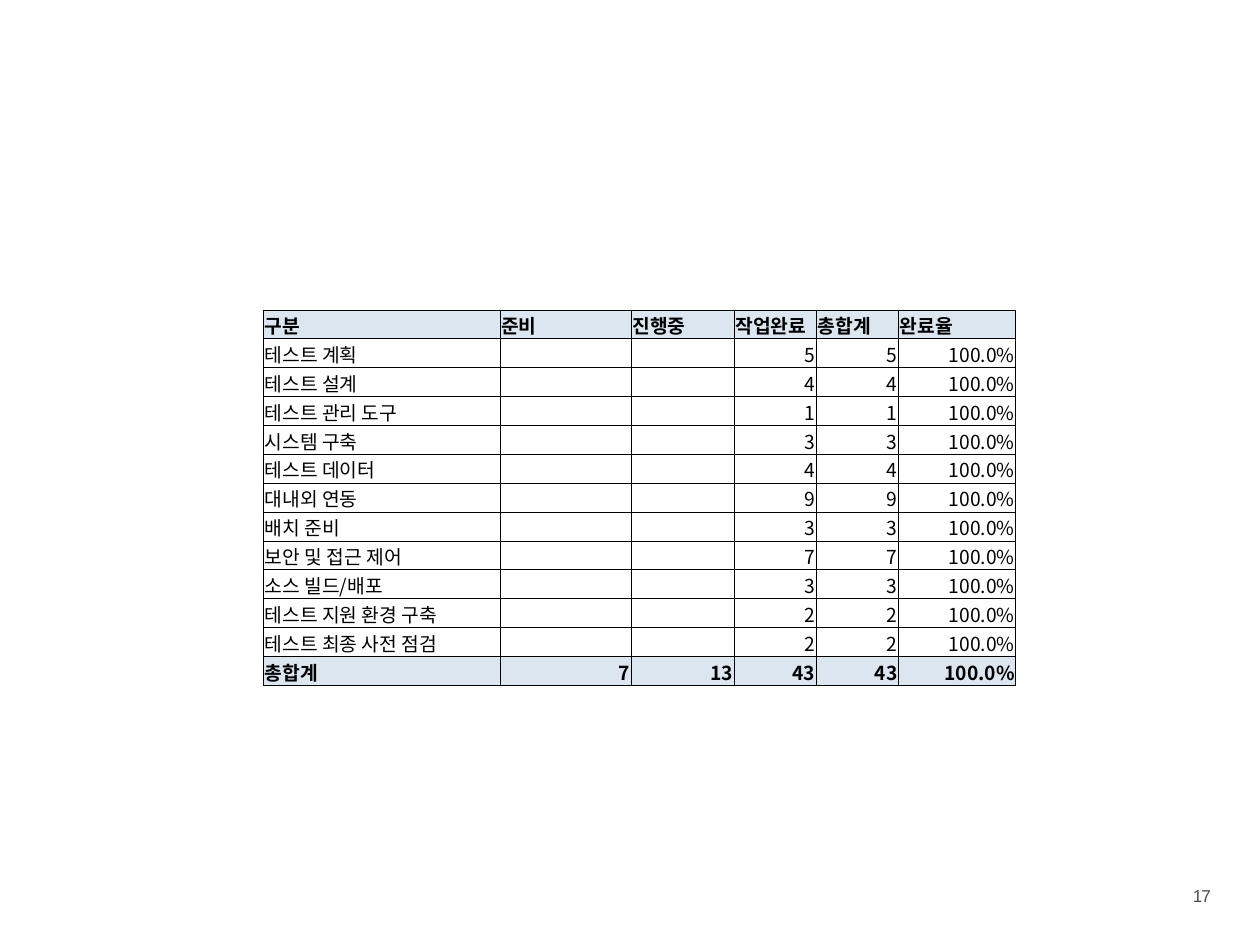
import pptx
import pptx.util
import pptx.dml.color
import pptx.enum.text
import pptx.oxml
import pptx.oxml.ns

HEADERS = ["구분", "준비", "진행중", "작업완료", "총합계", "완료율"]
TASKS = [
    ("테스트 계획", 5),
    ("테스트 설계", 4),
    ("테스트 관리 도구", 1),
    ("시스템 구축", 3),
    ("테스트 데이터", 4),
    ("대내외 연동", 9),
    ("배치 준비", 3),
    ("보안 및 접근 제어", 7),
    ("소스 빌드/배포", 3),
    ("테스트 지원 환경 구축", 2),
    ("테스트 최종 사전 점검", 2),
]
DONE = "100.0%"
TOTALS = ["총합계", "7", "13", "43", "43", DONE]
PAGE = "17"

THEME = {
    "text": "000000", "band": "DCE6F1", "page": "4C4C4E",
    "font": "Noto Sans CJK KR", "page_font": "Arial",
    "size": 11, "page_size": 9.8, "border": 0.5,
}
COLUMNS = [135.2, 75, 58.9, 47, 47, 67]
ROW_HEIGHT = 16.5
LEFT, TOP = 150.5, 177.1

Pt = pptx.util.Pt
RGB = pptx.dml.color.RGBColor.from_string
ALIGN = pptx.enum.text.PP_ALIGN
qn = pptx.oxml.ns.qn
NS = pptx.oxml.ns.nsdecls("a")


def set_font(p, name, size, color, bold=False):
    p.font.name = name
    p.font.size = Pt(size)
    p.font.bold = bold
    p.font.color.rgb = RGB(color)
    props = p._p.pPr.find(qn("a:defRPr"))
    props.append(pptx.oxml.parse_xml(f'<a:ea {NS} typeface="{name}"/>'))
    return props


def add_borders(cell):
    tcPr = cell._tc.get_or_add_tcPr()
    for i, side in enumerate("LRTB"):
        tcPr.insert(i, pptx.oxml.parse_xml(
            f'<a:ln{side} {NS} w="{Pt(THEME["border"])}"><a:solidFill>'
            f'<a:srgbClr val="{THEME["text"]}"/></a:solidFill></a:ln{side}>'))


def fill_cell(cell, text, banded, right):
    cell.margin_left = cell.margin_right = cell.margin_top = Pt(0.7)
    cell.margin_bottom = 0
    cell.vertical_anchor = pptx.enum.text.MSO_ANCHOR.BOTTOM
    if banded:
        cell.fill.solid()
        cell.fill.fore_color.rgb = RGB(THEME["band"])
    else:
        cell.fill.background()
    add_borders(cell)
    p = cell.text_frame.paragraphs[0]
    p.alignment = ALIGN.RIGHT if right else ALIGN.LEFT
    if text:
        p.text = text
    else:
        p._p.append(pptx.oxml.parse_xml(
            f'<a:endParaRPr {NS} sz="{THEME["size"] * 100}"/>'))
    set_font(p, THEME["font"], THEME["size"], THEME["text"], banded)


def add_status_table(slide):
    rows = [HEADERS]
    rows += [[task, "", "", str(n), str(n), DONE] for task, n in TASKS]
    rows.append(TOTALS)
    table = slide.shapes.add_table(
        len(rows), len(COLUMNS), Pt(LEFT), Pt(TOP),
        Pt(sum(COLUMNS)), Pt(ROW_HEIGHT * len(rows))).table
    for column, width in zip(table.columns, COLUMNS):
        column.width = Pt(width)
    for r, values in enumerate(rows):
        table.rows[r].height = Pt(ROW_HEIGHT)
        for c, text in enumerate(values):
            fill_cell(table.cell(r, c), text,
                      banded=r in (0, len(rows) - 1), right=r > 0 and c > 0)


def add_page_number(slide):
    sp = slide.shapes.add_textbox(Pt(674.6), Pt(502.6), Pt(24.5), Pt(19.4))
    tf = sp.text_frame
    tf.word_wrap = False
    p = tf.paragraphs[0]
    p.text = PAGE
    p.alignment = ALIGN.CENTER
    props = set_font(p, THEME["page_font"], THEME["page_size"], THEME["page"])
    props.set("spc", "-70")


def main():
    prs = pptx.Presentation()
    prs.slide_width, prs.slide_height = Pt(720), Pt(540)
    slide = prs.slides.add_slide(prs.slide_layouts[6])
    add_page_number(slide)
    add_status_table(slide)
    prs.save("out.pptx")


if __name__ == "__main__":
    main()
